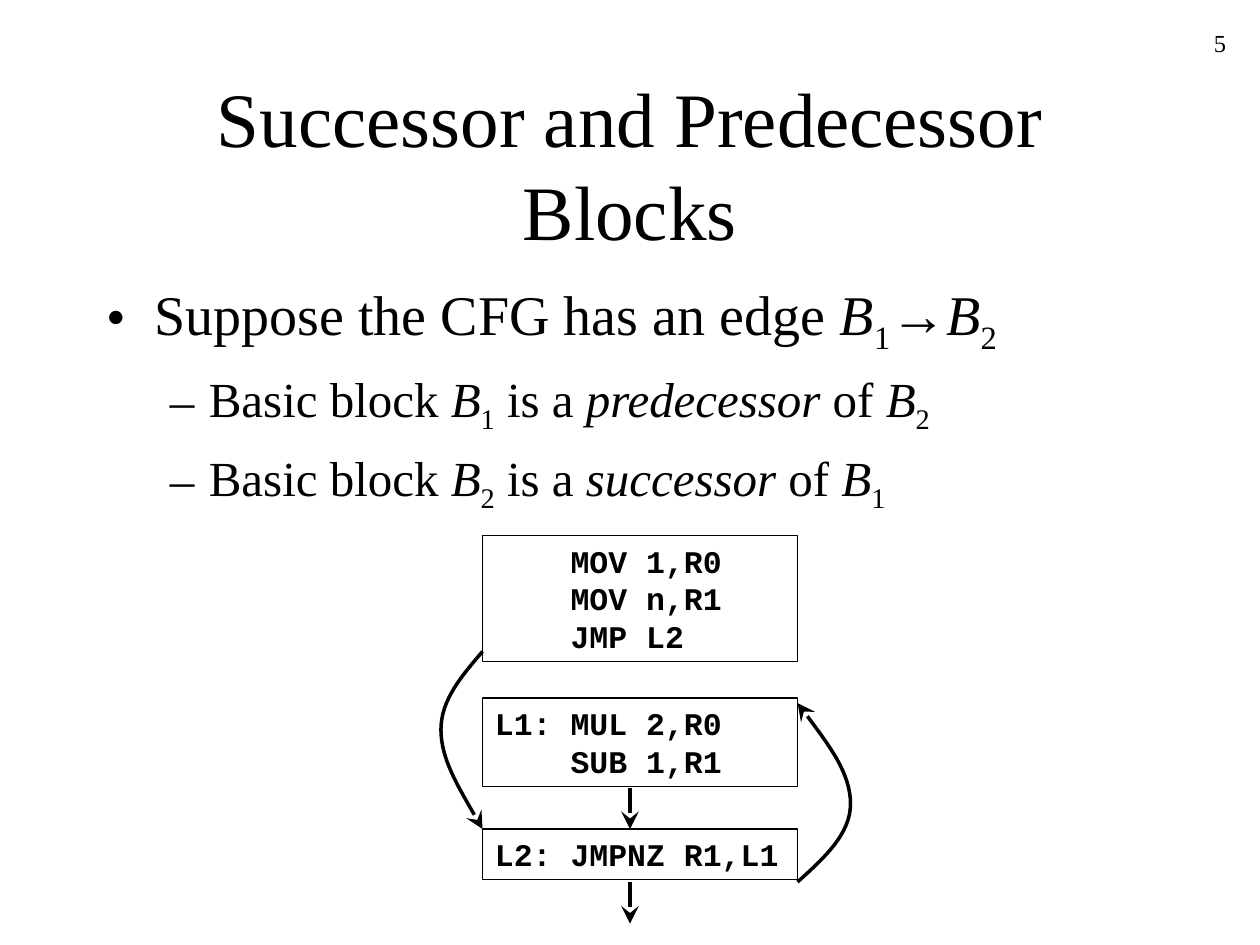
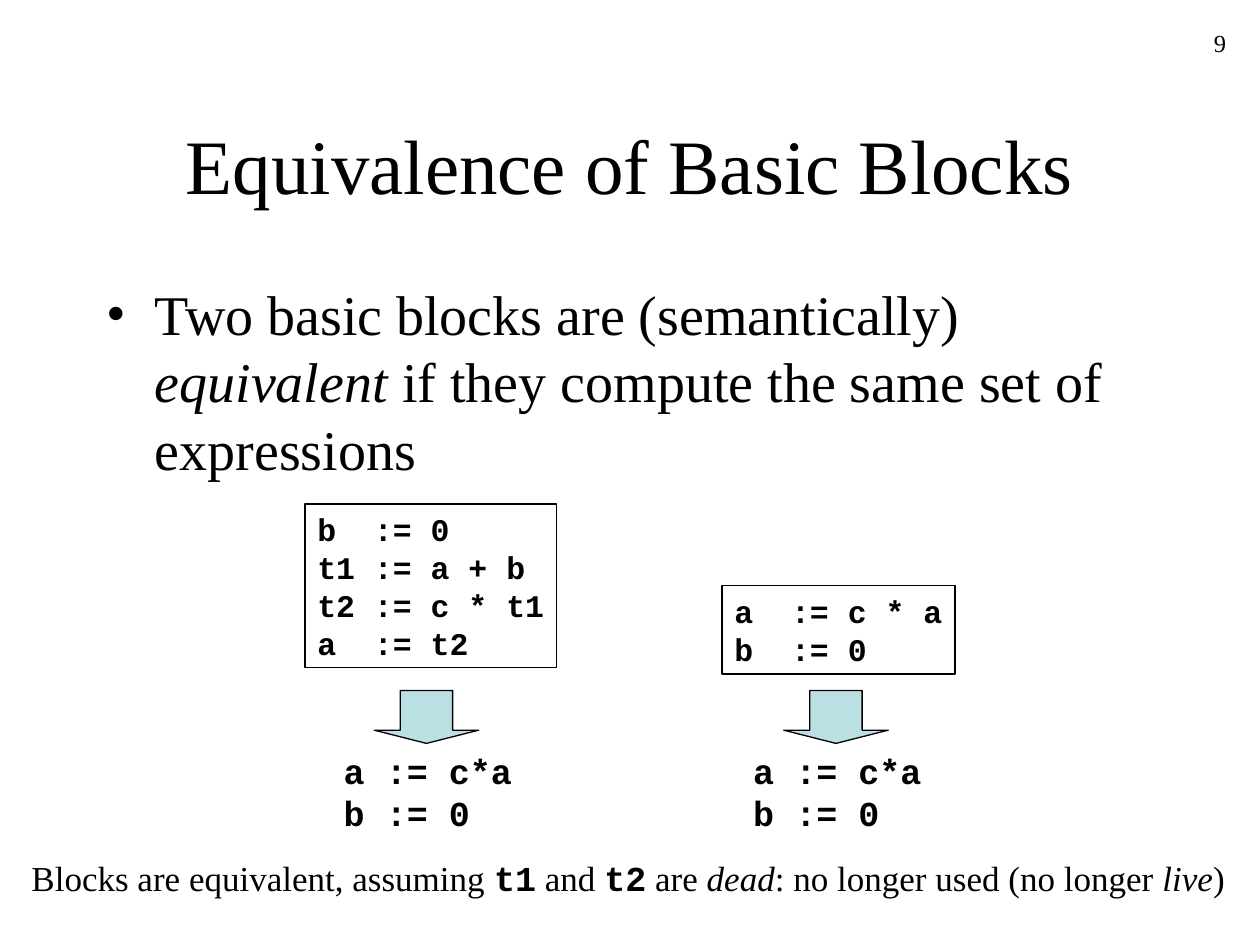
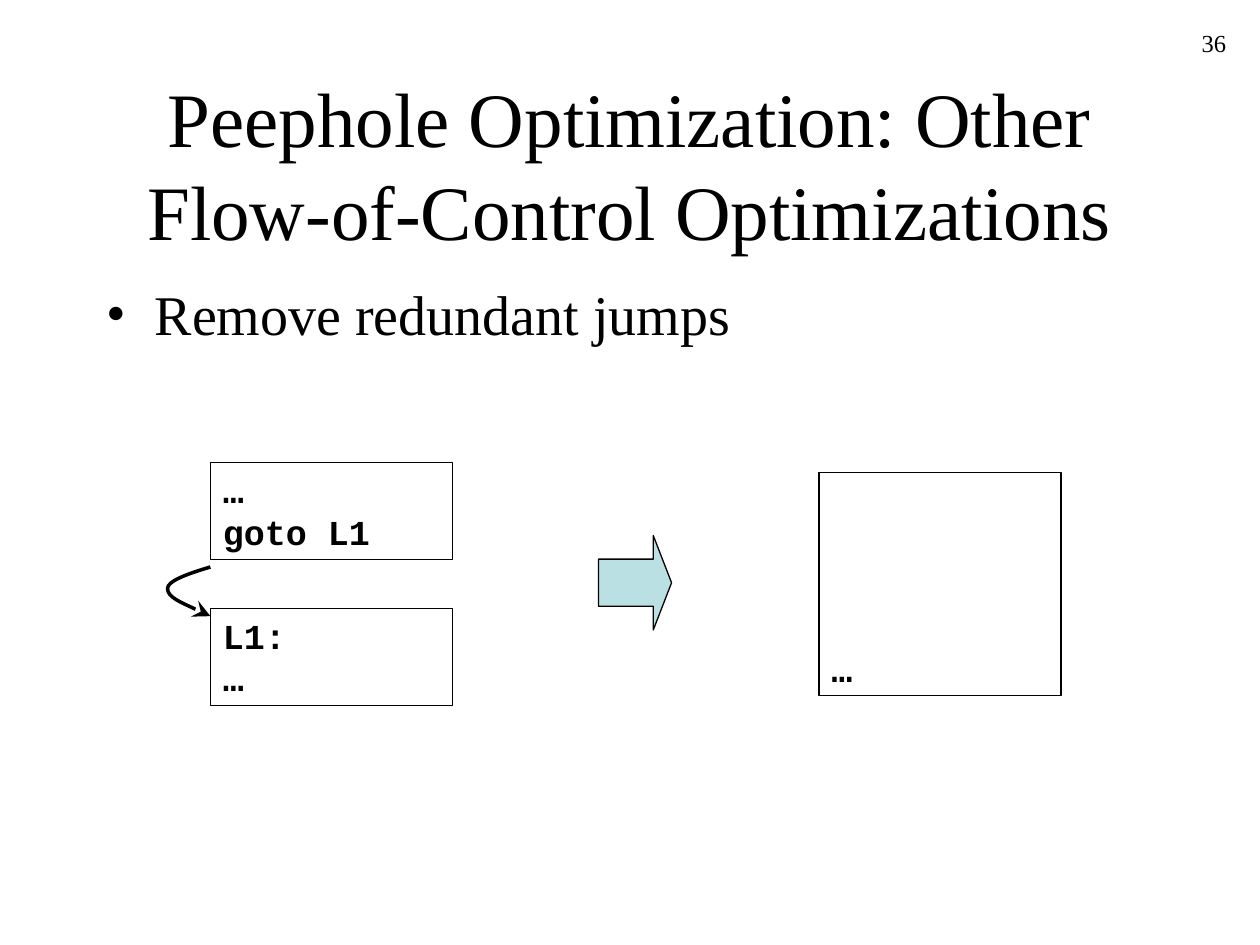
from dataclasses import dataclass

from lxml.etree import SubElement
from pptx import Presentation
from pptx.dml.color import RGBColor
from pptx.enum.shapes import MSO_CONNECTOR as Connector, MSO_SHAPE as Shape
from pptx.enum.text import MSO_ANCHOR as Anchor, PP_ALIGN as Align
from pptx.oxml.ns import qn
from pptx.util import Inches, Pt


@dataclass(frozen=True)
class Theme:
    ink: RGBColor = RGBColor(0, 0, 0)
    arrow_fill: RGBColor = RGBColor(0xBB, 0xE0, 0xE3)
    serif: str = "Times New Roman"
    mono: str = "Courier New"
    symbol: str = "Arial"
    title: int = 44
    bullet_sizes: tuple = (32, 28)
    code: int = 18
    large_code: int = 20
    note: int = 20
    page_number: int = 14
    thin: float = 0.75
    thick: float = 2


THEME = Theme()
BULLETS = (("•", 0.38, 0.38, 8), ("–", 0.81, 0.31, 7))  # sign, margin, hang, space

ITALIC = {"italic": True}
SUBSCRIPT = {"baseline": -25000}
CODE = {"font": THEME.mono, "bold": True}


def block_name(index):
    return [("B", ITALIC), (index, SUBSCRIPT)]


def add_text(paragraph, text, size, font=THEME.serif, bold=False, italic=False, baseline=None):
    run = paragraph.add_run()
    run.text = text
    run.font.size = Pt(size)
    run.font.name = font
    run.font.bold = bold
    run.font.italic = italic
    run.font.color.rgb = THEME.ink
    if baseline:
        run.font._element.set("baseline", str(baseline))


def add_runs(paragraph, runs, size):
    """Add plain strings and (text, format) pairs."""
    for run in runs:
        text, style = (run, {}) if isinstance(run, str) else run
        add_text(paragraph, text, size, **style)


def paragraphs_of(frame, count):
    return [frame.paragraphs[0]] + [frame.add_paragraph() for _ in range(count - 1)]


class Deck:
    def __init__(self, theme):
        self.theme = theme
        self.presentation = Presentation()
        self.presentation.slide_width = Inches(10)
        self.presentation.slide_height = Inches(7.5)
        self.slide = None

    def new_slide(self, title, number):
        self.slide = self.presentation.slides.add_slide(self.presentation.slide_layouts[6])
        self.text_line((0.75, 0.67, 8.5, 1.25), [title], self.theme.title,
                       align=Align.CENTER, anchor=Anchor.MIDDLE)
        self.text_line((7.75, 0.17, 2.08, 0.5), [number], self.theme.page_number,
                       align=Align.RIGHT)

    def text_box(self, place, wrap=True):
        box = self.slide.shapes.add_textbox(*map(Inches, place))
        box.text_frame.word_wrap = wrap
        return box

    def text_line(self, place, runs, size, align, anchor=Anchor.TOP, wrap=True):
        frame = self.text_box(place, wrap).text_frame
        frame.vertical_anchor = anchor
        frame.paragraphs[0].alignment = align
        add_runs(frame.paragraphs[0], runs, size)

    def bullets(self, *items):
        """Add (level, runs) items."""
        frame = self.text_box((0.75, 2.17, 8.5, 4.5)).text_frame
        for paragraph, (level, runs) in zip(paragraphs_of(frame, len(items)), items):
            sign, margin, hang, space = BULLETS[level]
            paragraph.level = level
            paragraph.space_before = Pt(space)
            properties = paragraph._p.get_or_add_pPr()
            properties.set("marL", str(Inches(margin)))
            properties.set("indent", str(-Inches(hang)))
            SubElement(properties, qn("a:buFont"), typeface=self.theme.serif)
            SubElement(properties, qn("a:buChar"), char=sign)
            add_runs(paragraph, runs, self.theme.bullet_sizes[level])

    def shape(self, kind, place):
        shape = self.slide.shapes.add_shape(kind, *map(Inches, place))
        shape.shadow.inherit = False
        shape.fill.background()
        self.ink_line(shape, self.theme.thin)
        return shape

    def code(self, place, lines, size=THEME.code, tab=None, framed=True, anchor=Anchor.TOP):
        """Add code lines; tab is the column, in inches, that a tab moves to."""
        box = self.shape(Shape.RECTANGLE, place) if framed else self.text_box(place)
        frame = box.text_frame
        frame.word_wrap = True
        frame.margin_right = 0
        frame.vertical_anchor = anchor
        for paragraph, line in zip(paragraphs_of(frame, len(lines)), lines):
            paragraph.alignment = Align.LEFT
            if tab:
                stops = SubElement(paragraph._p.get_or_add_pPr(), qn("a:tabLst"))
                SubElement(stops, qn("a:tab"), pos=str(Inches(tab)), algn="l")
            add_text(paragraph, line, size, **CODE)

    def block_arrow(self, kind, place):
        shape = self.shape(kind, place)
        shape.adjustments[0], shape.adjustments[1] = 0.5, 0.25
        shape.fill.solid()
        shape.fill.fore_color.rgb = self.theme.arrow_fill

    def ink_line(self, shape, width, arrowhead=False):
        shape.line.color.rgb = self.theme.ink
        shape.line.width = Pt(width)
        if arrowhead:
            SubElement(shape.line._get_or_add_ln(), qn("a:tailEnd"),
                       type="stealth", w="lg", len="lg")

    def arrow(self, start, end):
        connector = self.slide.shapes.add_connector(
            Connector.STRAIGHT, *map(Inches, start + end))
        self.ink_line(connector, self.theme.thick, arrowhead=True)
        SubElement(connector._element.spPr, qn("a:effectLst"))

    def curved_arrow(self, *points):
        """Draw Bézier segments: a start, then two control points and an end for each."""
        start, *others = [(Inches(x), Inches(y)) for x, y in points]
        builder = self.slide.shapes.build_freeform(*start)
        builder.add_line_segments(others, close=False)
        shape = builder.convert_to_shape()
        shape.shadow.inherit = False
        shape.fill.background()
        self.ink_line(shape, self.theme.thick, arrowhead=True)
        outline = next(shape._element.iter(qn("a:path")))
        segments = outline.findall(qn("a:lnTo"))
        for first in range(0, len(segments), 3):
            curve = SubElement(outline, qn("a:cubicBezTo"))
            for segment in segments[first:first + 3]:
                curve.append(segment[0])
                outline.remove(segment)


def add_successor_slide(deck):
    deck.new_slide("Successor and Predecessor Blocks", "5")
    first, second = block_name("1"), block_name("2")
    deck.bullets(
        (0, ["Suppose the CFG has an edge ", *first, ("→", {"font": THEME.symbol}), *second]),
        (1, ["Basic block ", *first, " is a ", ("predecessor", ITALIC), " of ", *second]),
        (1, ["Basic block ", *second, " is a ", ("successor", ITALIC), " of ", *first]),
    )
    for top, height, lines in (
        (4.25, 1, ("\tMOV 1,R0", "\tMOV n,R1", "\tJMP L2")),
        (5.54, 0.7, ("L1:\tMUL 2,R0", "\tSUB 1,R1")),
        (6.58, 0.4, ("L2:\tJMPNZ R1,L1",)),
    ):
        deck.code((3.83, top, 2.5, height), lines, tab=0.6)
    deck.curved_arrow((3.83, 5.17), (3.67, 5.36), (3.5, 5.55), (3.5, 5.79),
                      (3.5, 6.02), (3.67, 6.3), (3.83, 6.58))
    deck.curved_arrow((6.33, 7), (6.54, 6.81), (6.75, 6.62), (6.75, 6.38),
                      (6.75, 6.14), (6.54, 5.86), (6.33, 5.58))
    for top in (6.25, 7):
        deck.arrow((5, top), (5, top + 0.33))


def add_equivalence_slide(deck):
    deck.new_slide("Equivalence of Basic Blocks", "9")
    deck.bullets((0, ["Two basic blocks are (semantically) ", ("equivalent", ITALIC),
                      " if they compute the same set of expressions"]))
    deck.code((2.42, 4, 2, 1.3),
              ("b\t:= 0", "t1\t:= a + b", "t2\t:= c * t1", "a\t:= t2"), tab=0.45)
    deck.code((5.73, 4.65, 1.85, 0.7), ("a\t:= c * a", "b\t:= 0"), tab=0.45)
    for left in (2.63, 5.88):
        deck.code((left, 5.9, 1.53, 0.77), ("a := c*a", "b := 0"),
                  size=THEME.large_code, framed=False)
        deck.block_arrow(Shape.DOWN_ARROW, (left + 0.34, 5.48, 0.83, 0.42))
    deck.text_line(
        (0.15, 6.75, 9.67, 0.44),
        ["Blocks are equivalent, assuming ", ("t1", CODE), " and ", ("t2", CODE), " are ",
         ("dead", ITALIC), ": no longer used (no longer ", ("live", ITALIC), ")"],
        THEME.note, align=Align.CENTER, wrap=False)


def add_jumps_slide(deck):
    deck.new_slide("Peephole Optimization: Other Flow-of-Control Optimizations", "36")
    deck.bullets((0, ["Remove redundant jumps"]))
    for top, lines in ((4.83, ("L1:", "…")), (3.67, ("…", "goto L1"))):
        deck.code((1.67, top, 1.92, 0.77), lines, size=THEME.large_code)
    deck.curved_arrow((1.67, 4.5), (1.5, 4.55), (1.33, 4.61), (1.33, 4.67),
                      (1.33, 4.74), (1.5, 4.81), (1.67, 4.89))
    deck.block_arrow(Shape.RIGHT_ARROW, (4.75, 4.25, 0.58, 0.75))
    deck.code((6.5, 3.75, 1.92, 1.77), ("…",), size=THEME.large_code, anchor=Anchor.BOTTOM)


def main():
    deck = Deck(THEME)
    add_successor_slide(deck)
    add_equivalence_slide(deck)
    add_jumps_slide(deck)
    deck.presentation.save("out.pptx")


if __name__ == "__main__":
    main()
